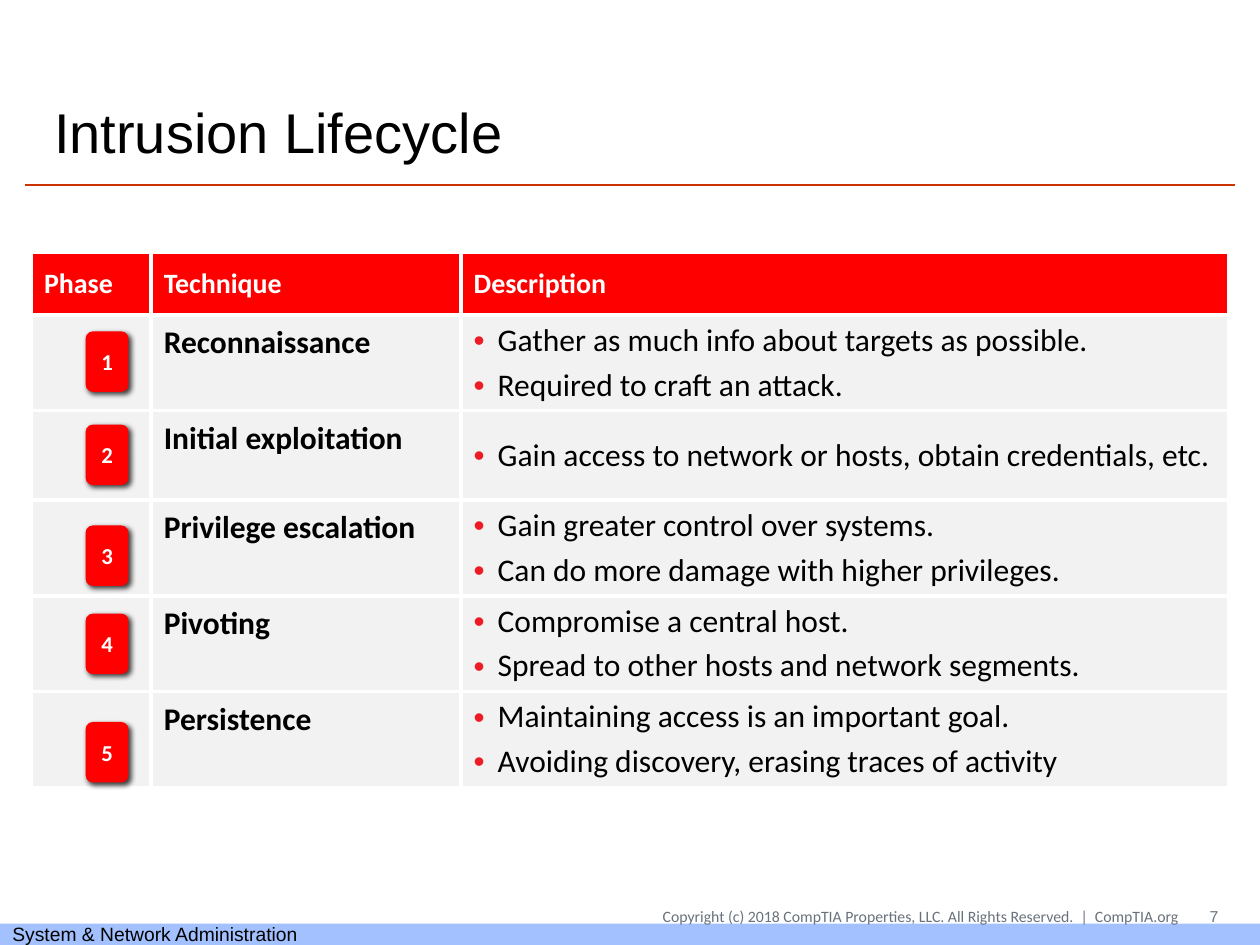
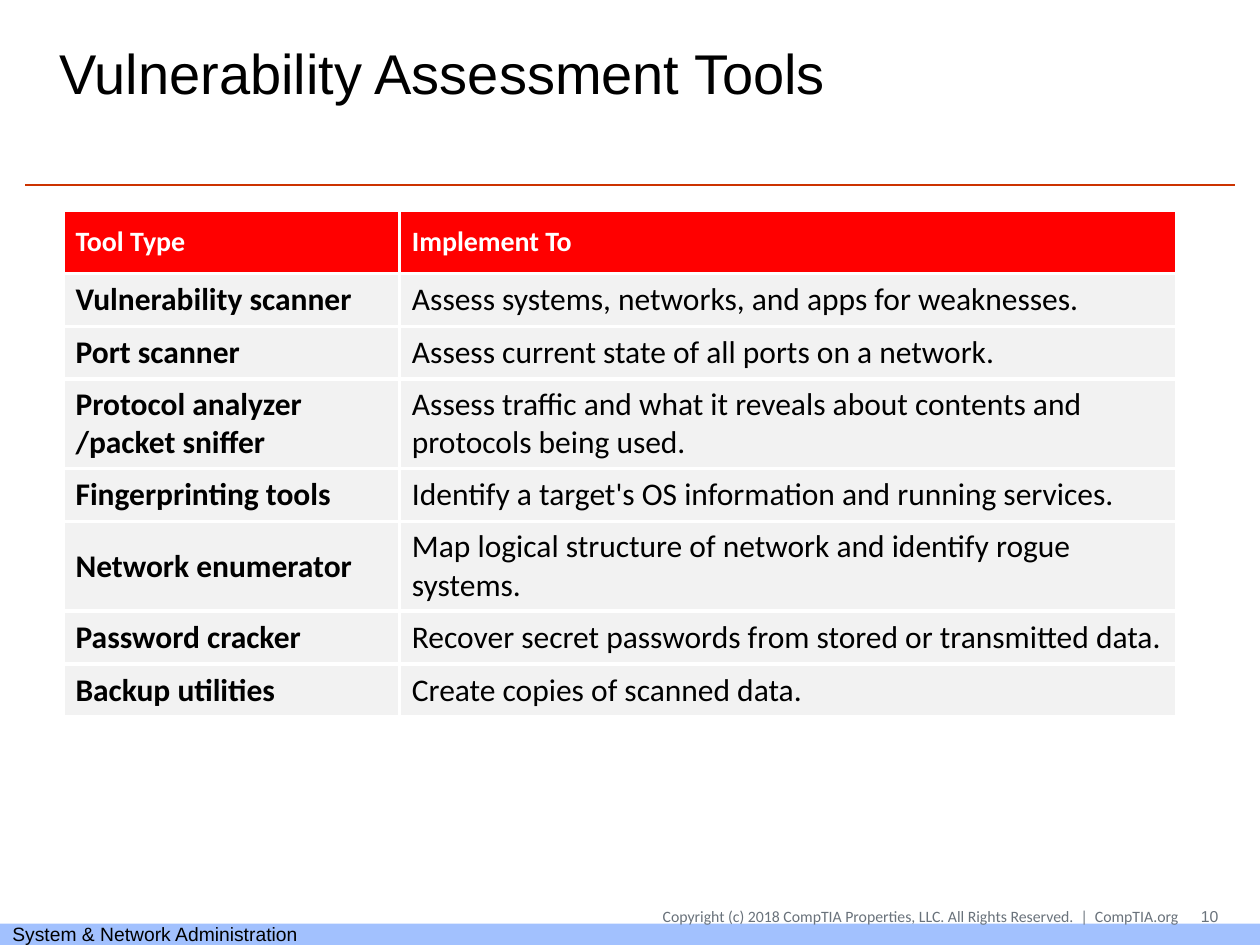
from lxml.etree import SubElement
from pptx import Presentation
from pptx.dml.color import RGBColor
from pptx.enum.shapes import MSO_CONNECTOR as Connector, MSO_SHAPE as Shape
from pptx.enum.text import MSO_ANCHOR as Anchor, PP_ALIGN as Align
from pptx.oxml.ns import qn
from pptx.util import Inches, Pt

# Content
COURSE = "System & Network Administration"
COPYRIGHT = "Copyright (c) 2018 CompTIA Properties, LLC. All Rights Reserved.  |  CompTIA.org"

LIFECYCLE = {
    "title": "Intrusion Lifecycle", "title_at": (0.33, 0.58), "number": 7,
    "table_at": (0.25, 2), "columns": (0.95, 2.46, 6.09),
    "header": ("Phase", "Technique", "Description"),
}
# Technique, description points, top of the phase badge, row height
PHASES = [
    ("Reconnaissance", ["Gather as much info about targets as possible.",
                        "Required to craft an attack."], 2.63, 0.76),
    ("Initial exploitation",
     ["Gain access to network or hosts, obtain credentials, etc."], 3.37, 0.71),
    ("Privilege escalation", ["Gain greater control over systems.",
                              "Can do more damage with higher privileges."], 4.17, 0.76),
    ("Pivoting", ["Compromise a central host.",
                  "Spread to other hosts and network segments."], 4.87, 0.76),
    ("Persistence", ["Maintaining access is an important goal.",
                     "Avoiding discovery, erasing traces of activity"], 5.73, 0.76),
]

ASSESSMENT = {
    "title": "Vulnerability Assessment Tools", "title_at": (0.37, 0.11), "number": 10,
    "table_at": (0.5, 1.67), "columns": (2.67, 6.17),
    "header": ("Tool Type", "Implement To"),
}
# Tool type, purpose, lines of text in the row
TOOLS = [
    ("Vulnerability scanner", "Assess systems, networks, and apps for weaknesses.", 1),
    ("Port scanner", "Assess current state of all ports on a network.", 1),
    ("Protocol analyzer /packet sniffer",
     "Assess traffic and what it reveals about contents and protocols being used.", 2),
    ("Fingerprinting tools", "Identify a target's OS information and running services.", 1),
    ("Network enumerator", "Map logical structure of network and identify rogue systems.", 2),
    ("Password cracker", "Recover secret passwords from stored or transmitted data.", 1),
    ("Backup utilities", "Create copies of scanned data.", 1),
]

# Shared look
RED, BULLET_RED, RULE_RED = "FF0000", "ED1C24", "CC3300"
BAND_BLUE, CELL_GREY, FOOTER_GREY = "A2C1FE", "F2F2F2", "69727B"
WHITE, BLACK = "FFFFFF", "000000"
HEADER_HEIGHT = 0.5
LINE_ROWS = {1: 0.42, 2: 0.71}

TITLE = {"name": "Arial", "size": Pt(32), "color": BLACK}
BAND = {"name": "Arial", "size": Pt(11), "color": BLACK}
COPY = {"name": "Calibri", "size": Pt(9), "color": FOOTER_GREY}
NUMBER = {**COPY, "name": "Arial"}
HEADER = {"name": "Calibri", "size": Pt(16), "bold": True, "color": WHITE}
BODY = {"name": "Calibri", "size": Pt(18), "bold": False, "color": BLACK}
STRONG = {**BODY, "bold": True}
BADGE = {**HEADER, "size": Pt(13)}


def rgb(value):
    return RGBColor.from_string(value)


def inches(*lengths):
    return [Inches(length) for length in lengths]


def add(parent, tag, **attributes):
    return SubElement(parent, qn(tag), {key: str(value) for key, value in attributes.items()})


def style(paragraph, look, align=Align.LEFT):
    paragraph.alignment = align
    for key, value in look.items():
        if key == "color":
            paragraph.font.color.rgb = rgb(value)
        else:
            setattr(paragraph.font, key, value)


def write(frame, text, look, align=Align.LEFT, margins=(0.1, 0.05, 0.1, 0.05)):
    frame.word_wrap = True
    frame.vertical_anchor = Anchor.MIDDLE
    for side, margin in zip(("left", "top", "right", "bottom"), margins):
        setattr(frame, f"margin_{side}", Inches(margin))
    frame.text = text
    style(frame.paragraphs[0], look, align)


def add_block(slide, kind, box, fill):
    block = slide.shapes.add_shape(kind, *inches(*box))
    block.shadow.inherit = False
    block.fill.solid()
    block.fill.fore_color.rgb = rgb(fill)
    block.line.fill.background()
    return block


def add_slide(deck, page):
    """Title, rule, band and footer texts shared by every slide."""
    slide = deck.slides.add_slide(deck.slide_layouts[5])
    title = slide.shapes.title
    title.left, title.top, title.width, title.height = inches(*page["title_at"], 9.25, 0.92)
    write(title.text_frame, page["title"], TITLE)

    rule = slide.shapes.add_connector(Connector.STRAIGHT, *inches(0.2, 1.47, 9.8, 1.47))
    rule.line.color.rgb = rgb(RULE_RED)
    rule.line.width = Pt(1.5)
    add(rule.element.spPr, "a:effectLst")

    band = add_block(slide, Shape.RECTANGLE, (0, 7.33, 10, 0.17), BAND_BLUE)
    write(band.text_frame, COURSE, BAND)
    for left, width, text, look, inset in (
        (3.88, 5.47, COPYRIGHT, COPY, 0),
        (9.38, 0.29, str(page["number"]), NUMBER, 0.1),
    ):
        footer = slide.shapes.add_textbox(*inches(left, 7.12, width, 0.3))
        write(footer.text_frame, text, look, Align.RIGHT, (inset, 0.05, 0, 0.05))
    return slide


def fill_cell(cell, lines, look, fill, bulleted=False):
    cell.vertical_anchor = Anchor.MIDDLE
    for side in ("a:lnL", "a:lnR", "a:lnT", "a:lnB"):
        border = add(cell._tc.get_or_add_tcPr(), side, w=Pt(2.25))
        add(add(border, "a:solidFill"), "a:srgbClr", val=WHITE)
    cell.fill.solid()
    cell.fill.fore_color.rgb = rgb(fill)
    cell.text = "\n".join(lines)
    for index, paragraph in enumerate(cell.text_frame.paragraphs):
        if index:
            paragraph.space_before = Pt(3.6)
        if bulleted:
            properties = paragraph._p.get_or_add_pPr()
            properties.set("marL", str(Inches(0.19)))
            properties.set("indent", str(Inches(-0.19)))
            add(add(properties, "a:buClr"), "a:srgbClr", val=BULLET_RED)
            add(properties, "a:buFont", typeface="Arial")
            add(properties, "a:buChar", char="•")
        style(paragraph, look)


def add_grid(slide, page, row_heights):
    heights = [HEADER_HEIGHT, *row_heights]
    columns = page["columns"]
    grid = slide.shapes.add_table(
        len(heights), len(columns),
        *inches(*page["table_at"], sum(columns), sum(heights))).table
    for column, width in zip(grid.columns, columns):
        column.width = Inches(width)
    for row, height in zip(grid.rows, heights):
        row.height = Inches(height)
    for cell, label in zip(grid.rows[0].cells, page["header"]):
        fill_cell(cell, [label], HEADER, RED)
    return grid


def add_badge(slide, phase, top):
    badge = add_block(slide, Shape.ROUNDED_RECTANGLE, (0.68, top, 0.34, 0.48), RED)
    write(badge.text_frame, str(phase), BADGE, Align.CENTER, (0, 0, 0, 0))
    effects = badge.element.spPr.find(qn("a:effectLst"))
    shadow = add(effects, "a:outerShdw", blurRad=Pt(3), dist=Pt(2), dir=45 * 60000)
    add(add(shadow, "a:srgbClr", val=BLACK), "a:alpha", val=75000)


def build_lifecycle(deck):
    slide = add_slide(deck, LIFECYCLE)
    grid = add_grid(slide, LIFECYCLE, [height for *_, height in PHASES])
    for phase, (technique, points, badge_top, _) in enumerate(PHASES, 1):
        number_cell, technique_cell, points_cell = grid.rows[phase].cells
        fill_cell(number_cell, [""], BODY, CELL_GREY)
        fill_cell(technique_cell, [technique], STRONG, CELL_GREY)
        technique_cell.vertical_anchor = Anchor.TOP
        technique_cell.margin_top = Inches(0.07)
        fill_cell(points_cell, points, BODY, CELL_GREY, bulleted=True)
        add_badge(slide, phase, badge_top)


def build_assessment(deck):
    slide = add_slide(deck, ASSESSMENT)
    grid = add_grid(slide, ASSESSMENT, [LINE_ROWS[lines] for *_, lines in TOOLS])
    for index, (tool, purpose, _) in enumerate(TOOLS, 1):
        tool_cell, purpose_cell = grid.rows[index].cells
        fill_cell(tool_cell, [tool], STRONG, CELL_GREY)
        fill_cell(purpose_cell, [purpose], BODY, CELL_GREY)


def main():
    deck = Presentation()
    deck.slide_width, deck.slide_height = inches(10, 7.5)
    build_lifecycle(deck)
    build_assessment(deck)
    deck.save("out.pptx")


if __name__ == "__main__":
    main()
